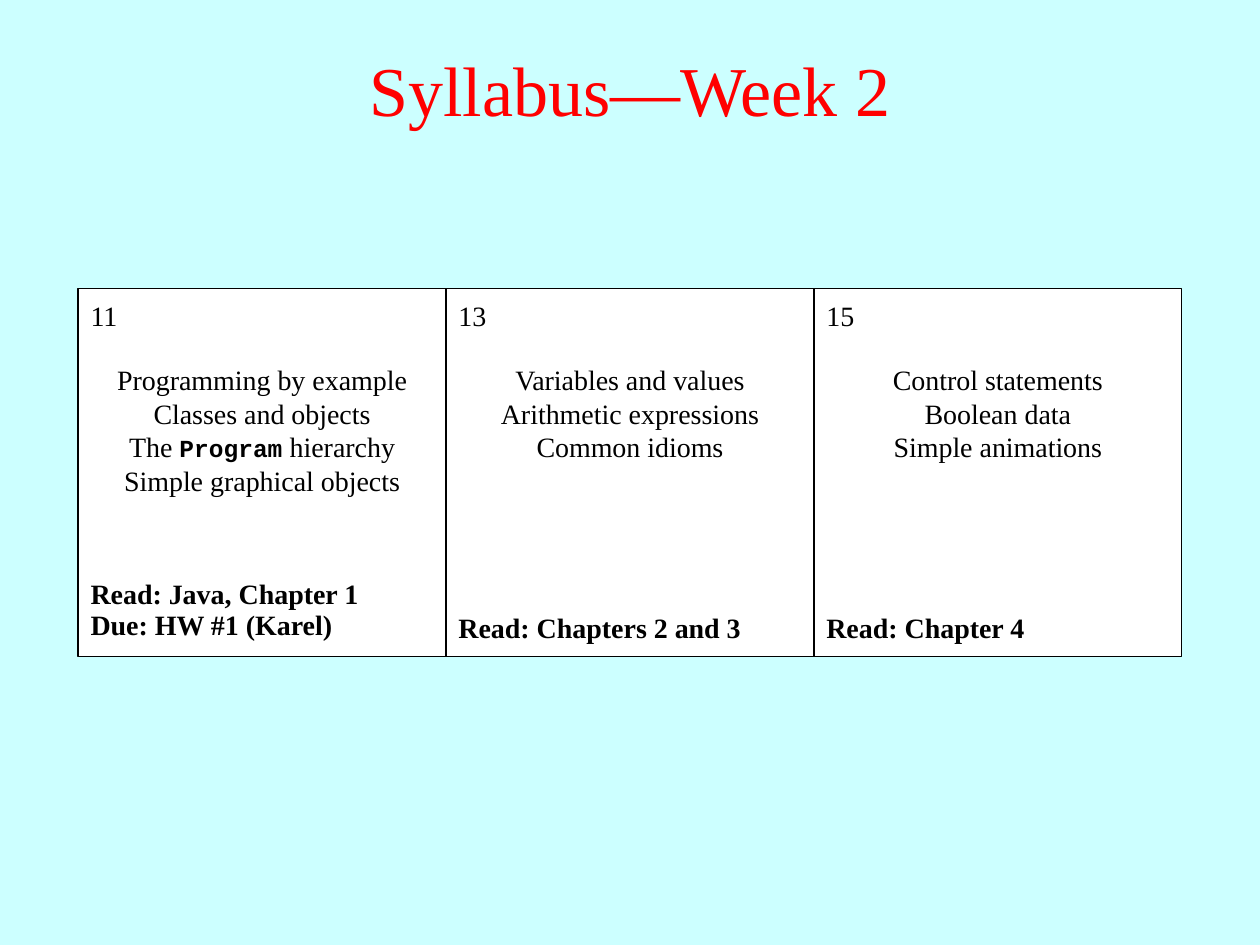
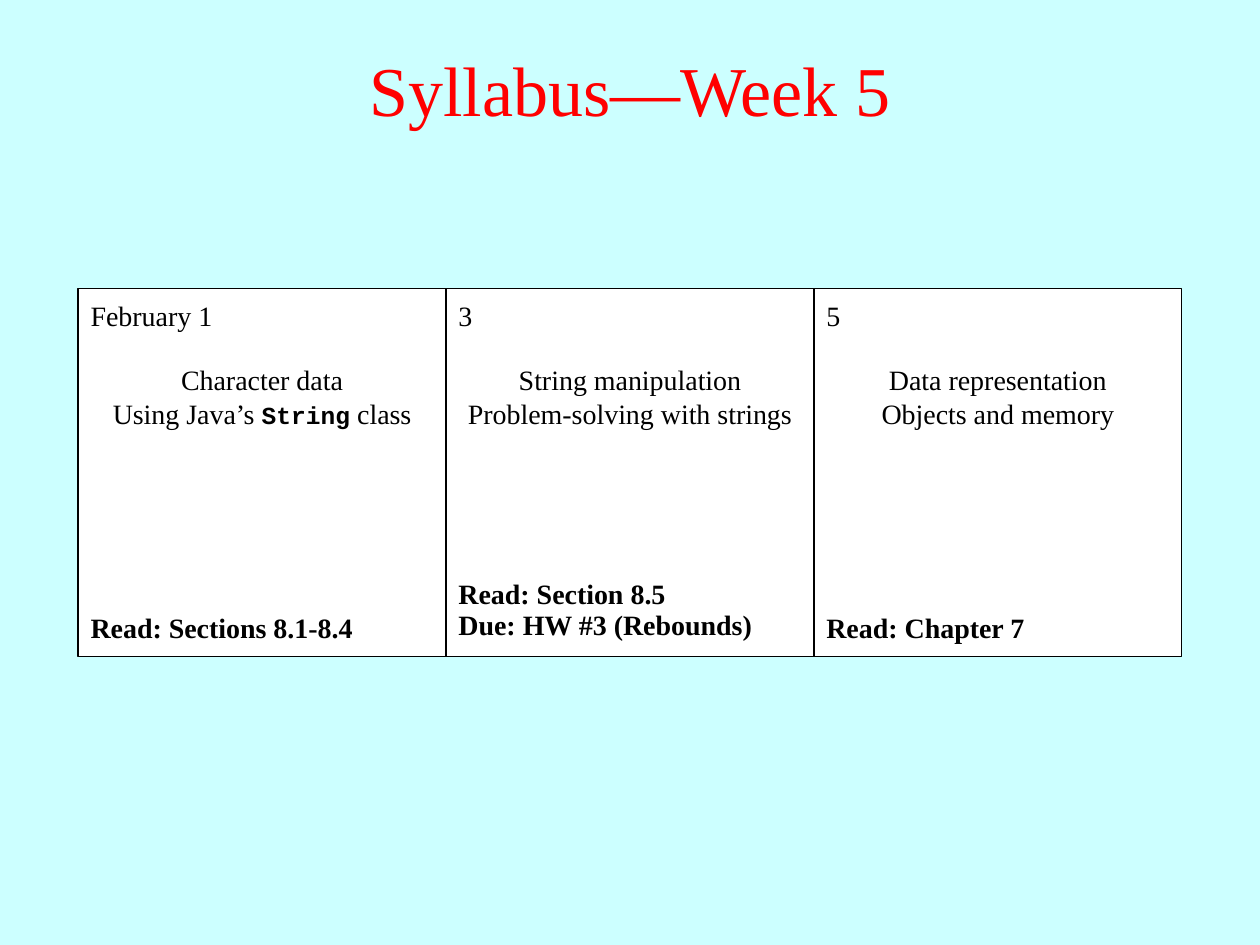
from dataclasses import dataclass

from pptx import Presentation
from pptx.dml.color import RGBColor
from pptx.enum.shapes import MSO_SHAPE
from pptx.enum.text import MSO_ANCHOR, MSO_AUTO_SIZE, PP_ALIGN
from pptx.util import Inches, Pt


@dataclass(frozen=True)
class Theme:
    background: RGBColor = RGBColor(0xCC, 0xFF, 0xFF)
    title: RGBColor = RGBColor(0xFF, 0x00, 0x00)
    ink: RGBColor = RGBColor(0x00, 0x00, 0x00)
    paper: RGBColor = RGBColor(0xFF, 0xFF, 0xFF)
    font: str = "Times New Roman"
    code_font: str = "Courier New"
    title_size: int = 40
    body_size: int = 16
    code_size: int = 14
    border: float = 0.75


@dataclass(frozen=True)
class Box:
    left: float
    top: float
    width: float
    height: float

    def row(self, offset, height):
        """Full-width strip that starts offset inches below the top."""
        return Box(self.left, self.top + offset, self.width, height)

    def inches(self):
        return [Inches(v) for v in (self.left, self.top, self.width, self.height)]


THEME = Theme()
SLIDE = Box(0, 0, 10, 7.5)
DAY_SIDE = 2.92
DAY_TOP = 2.29
LINE = 0.27
INSETS = 0.1

# Each day: date, topics (code between backticks), assignments.
WEEKS = {
    "Syllabus—Week 2": [
        ("11",
         ["Programming by example", "Classes and objects",
          "The `Program` hierarchy", "Simple graphical objects"],
         ["Read: Java, Chapter 1", "Due: HW #1 (Karel)"]),
        ("13",
         ["Variables and values", "Arithmetic expressions", "Common idioms"],
         ["Read: Chapters 2 and 3"]),
        ("15",
         ["Control statements", "Boolean data", "Simple animations"],
         ["Read: Chapter 4"]),
    ],
    "Syllabus—Week 5": [
        ("February 1",
         ["Character data", "Using Java’s `String` class"],
         ["Read: Sections 8.1-8.4"]),
        ("3",
         ["String manipulation", "Problem-solving with strings"],
         ["Read: Section 8.5", "Due: HW #3 (Rebounds)"]),
        ("5",
         ["Data representation", "Objects and memory"],
         ["Read: Chapter 7"]),
    ],
}


def add_lines(shapes, box, lines, size=THEME.body_size, color=THEME.ink,
              bold=False, align=PP_ALIGN.LEFT, spacing=None):
    """Text box with one paragraph per line; backticks mark code."""
    frame = shapes.add_textbox(*box.inches()).text_frame
    frame.word_wrap = True
    for index, line in enumerate(lines):
        paragraph = frame.paragraphs[0] if index == 0 else frame.add_paragraph()
        paragraph.alignment = align
        paragraph.line_spacing = spacing
        font = paragraph.font
        font.name, font.size, font.bold = THEME.font, Pt(size), bold
        font.color.rgb = color
        for part, words in enumerate(line.split("`")):
            run = paragraph.add_run()
            run.text = words
            if part % 2:
                run.font.name = THEME.code_font
                run.font.size = Pt(THEME.code_size)
                run.font.bold = True
    return frame


def add_title(slide, title):
    frame = add_lines(slide.shapes, SLIDE.row(0.08, 1.25), [title],
                      THEME.title_size, THEME.title, align=PP_ALIGN.CENTER)
    frame.vertical_anchor = MSO_ANCHOR.MIDDLE


def add_day(slide, box, date, topics, assignments):
    shapes = slide.shapes.add_group_shape().shapes
    card = shapes.add_shape(MSO_SHAPE.RECTANGLE, *box.inches())
    card.shadow.inherit = False
    card.fill.solid()
    card.fill.fore_color.rgb = THEME.paper
    card.line.color.rgb = THEME.ink
    card.line.width = Pt(THEME.border)

    topics_row = box.row(0.54, INSETS + LINE * len(topics))
    # A lone assignment sits on the second of the two lines.
    assignments_row = box.row(2.27 + LINE * (2 - len(assignments)),
                              INSETS + 0.24 * len(assignments))
    for frame in (
        add_lines(shapes, box.row(0.03, INSETS + LINE), [date]),
        add_lines(shapes, topics_row, topics, align=PP_ALIGN.CENTER),
        add_lines(shapes, assignments_row, assignments, bold=True, spacing=0.9),
    ):
        frame.auto_size = MSO_AUTO_SIZE.SHAPE_TO_FIT_TEXT


def add_week(presentation, title, days):
    slide = presentation.slides.add_slide(presentation.slide_layouts[6])
    slide.background.fill.solid()
    slide.background.fill.fore_color.rgb = THEME.background
    add_title(slide, title)
    margin = (SLIDE.width - DAY_SIDE * len(days)) / 2
    for column, day in enumerate(days):
        box = Box(margin + column * DAY_SIDE, DAY_TOP, DAY_SIDE, DAY_SIDE)
        add_day(slide, box, *day)


def main():
    presentation = Presentation()
    presentation.slide_width = Inches(SLIDE.width)
    presentation.slide_height = Inches(SLIDE.height)
    for title, days in WEEKS.items():
        add_week(presentation, title, days)
    presentation.save("out.pptx")


if __name__ == "__main__":
    main()
